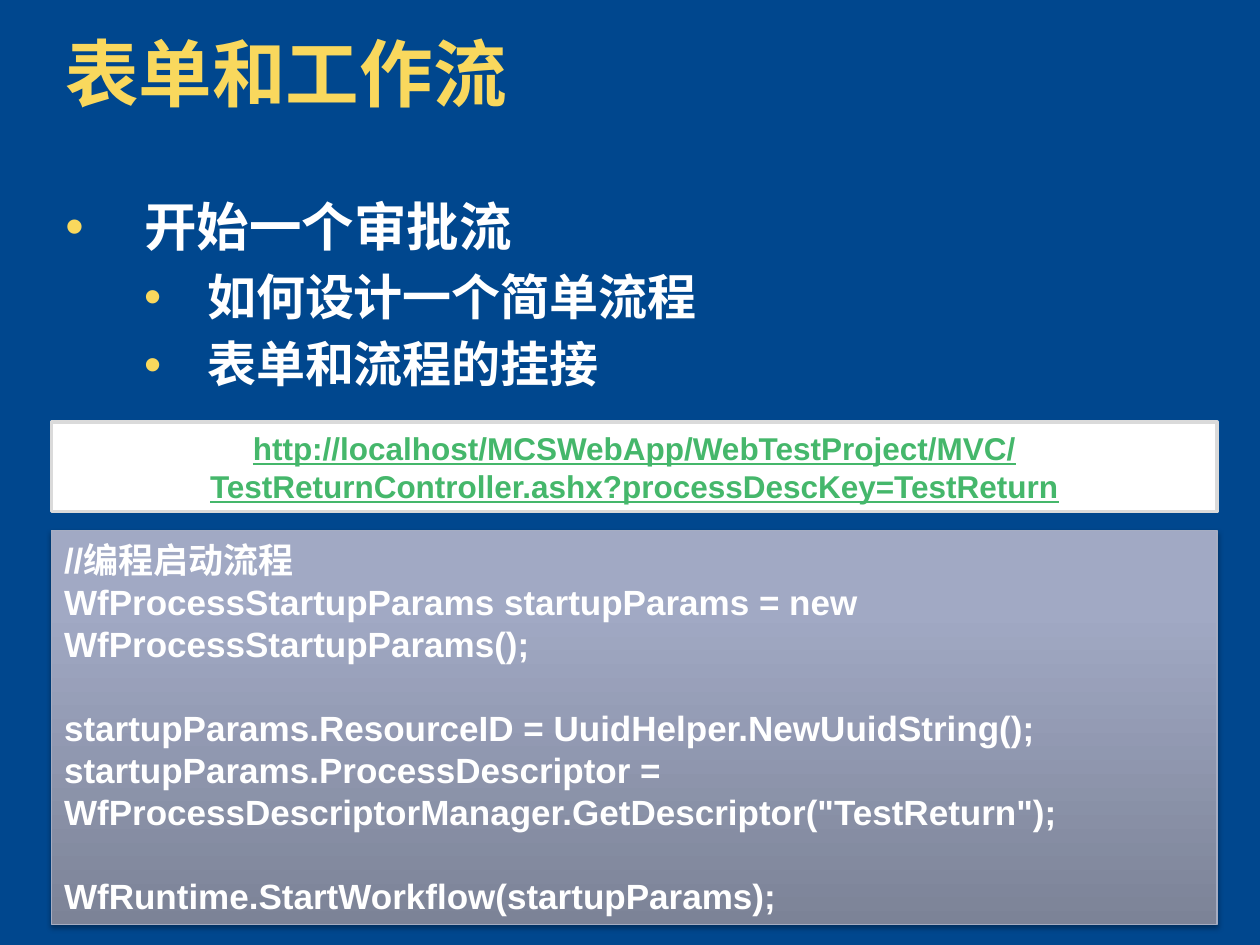
from dataclasses import dataclass
from typing import Any, Optional

from pptx import Presentation
from pptx.dml.color import RGBColor
from pptx.enum.shapes import MSO_SHAPE
from pptx.enum.text import MSO_ANCHOR, MSO_AUTO_SIZE, PP_ALIGN
from pptx.oxml import parse_xml
from pptx.oxml.ns import nsdecls, qn
from pptx.util import Pt

NAVY = RGBColor(0x00, 0x47, 0x8E)
YELLOW = RGBColor(0xF9, 0xD8, 0x5D)
WHITE = RGBColor(0xFF, 0xFF, 0xFF)
GREEN = RGBColor(0x45, 0xB7, 0x6B)
LIGHT_GRAY = RGBColor(0xDA, 0xDA, 0xDA)
PANEL_BORDER = RGBColor(0xA6, 0xAD, 0xC2)
BLACK = RGBColor(0x00, 0x00, 0x00)
PANEL_GRADIENT = (
    (0, RGBColor(0x7C, 0x83, 0x97)),
    (80, RGBColor(0xA1, 0xA9, 0xC4)),
    (100, RGBColor(0xA1, 0xAA, 0xC6)),
)


@dataclass(frozen=True)
class Line:
    text: str
    size: float
    color: RGBColor = WHITE
    level: int = 0
    space_before: float = 0
    line_spacing: float = 1.0
    alignment: PP_ALIGN = PP_ALIGN.LEFT
    underline: bool = False
    margin: float = 0
    hanging: float = 0


@dataclass(frozen=True)
class Panel:
    top: float
    height: float
    border: RGBColor
    border_width: float
    lines: tuple[Line, ...]
    fill: Optional[RGBColor] = None


TITLE = Line("表单和工作流", 42, YELLOW, line_spacing=0.9)
TOPICS = (
    Line("开始一个审批流", 30, space_before=9, line_spacing=0.9, margin=45, hanging=45),
    *(
        Line(text, 28, level=1, space_before=8.4, line_spacing=0.9, margin=81, hanging=36)
        for text in ("如何设计一个简单流程", "表单和流程的挂接")
    ),
)
ADDRESS = Line(
    "http://localhost/MCSWebApp/WebTestProject/MVC/"
    "TestReturnController.ashx?processDescKey=TestReturn",
    18, GREEN, alignment=PP_ALIGN.CENTER, underline=True,
)
CODE = (
    Line("//编程启动流程", 20),
    Line("WfProcessStartupParams startupParams = new WfProcessStartupParams();", 20),
    Line("startupParams.ResourceID = UuidHelper.NewUuidString();", 20, space_before=24),
    Line(
        "startupParams.ProcessDescriptor = "
        'WfProcessDescriptorManager.GetDescriptor("TestReturn");', 20,
    ),
    Line("WfRuntime.StartWorkflow(startupParams);", 20, space_before=24),
)
PANELS = (
    Panel(241.2, 51.1, LIGHT_GRAY, 2, (ADDRESS,), WHITE),
    Panel(303.1, 225.4, PANEL_BORDER, 0.75, CODE),
)


def apply_format(target: Any, values: dict[str, Any]) -> None:
    for name, value in values.items():
        setattr(target, name, value)


def add_bullet(properties: Any, line: Line) -> None:
    properties.set("marL", str(Pt(line.margin)))
    properties.set("indent", str(-Pt(line.hanging)))
    for content in (
        f'<a:buClr {nsdecls("a")}><a:srgbClr val="{YELLOW}"/></a:buClr>',
        f'<a:buFont {nsdecls("a")} typeface="Arial"/>',
        f'<a:buChar {nsdecls("a")} char="•"/>',
    ):
        properties.append(parse_xml(content))


def write_lines(shape: Any, lines: tuple[Line, ...], anchor: MSO_ANCHOR) -> None:
    frame = shape.text_frame
    apply_format(frame, {
        "word_wrap": True,
        "auto_size": MSO_AUTO_SIZE.NONE,
        "vertical_anchor": anchor,
    })
    for index, line in enumerate(lines):
        paragraph = frame.add_paragraph() if index else frame.paragraphs[0]
        apply_format(paragraph, {
            "level": line.level,
            "alignment": line.alignment,
            "line_spacing": line.line_spacing,
            "space_before": Pt(line.space_before),
        })
        if line.hanging:
            add_bullet(paragraph._p.get_or_add_pPr(), line)
        run = paragraph.add_run()
        run.text = line.text
        apply_format(run.font, {
            "name": "Arial",
            "size": Pt(line.size),
            "bold": True,
            "underline": line.underline,
        })
        run.font.color.rgb = line.color


def place(shape: Any, left: float, top: float, width: float, height: float) -> None:
    apply_format(shape, {
        "left": Pt(left), "top": Pt(top), "width": Pt(width), "height": Pt(height),
    })


def add_gradient_and_shadow(shape: Any) -> None:
    stops = "".join(
        f'<a:gs pos="{position * 1000}"><a:srgbClr val="{color}"/></a:gs>'
        for position, color in PANEL_GRADIENT
    )
    properties = shape._element.spPr
    properties.find(qn("a:prstGeom")).addnext(parse_xml(
        f'<a:gradFill {nsdecls("a")} rotWithShape="1"><a:gsLst>{stops}</a:gsLst>'
        '<a:lin ang="16200000" scaled="0"/></a:gradFill>'
    ))
    properties.find(qn("a:effectLst")).append(parse_xml(
        f'<a:outerShdw {nsdecls("a")} blurRad="{Pt(3.1)}" dist="{Pt(1.8)}" '
        f'dir="5400000" rotWithShape="0"><a:srgbClr val="{BLACK}">'
        '<a:alpha val="35000"/></a:srgbClr></a:outerShdw>'
    ))


def draw_panel(slide: Any, panel: Panel) -> None:
    shape = slide.shapes.add_shape(
        MSO_SHAPE.RECTANGLE, Pt(29.5), Pt(panel.top), Pt(666), Pt(panel.height)
    )
    shape.shadow.inherit = False
    shape.line.color.rgb = panel.border
    shape.line.width = Pt(panel.border_width)
    if panel.fill is None:
        add_gradient_and_shadow(shape)
    else:
        shape.fill.solid()
        shape.fill.fore_color.rgb = panel.fill
    write_lines(shape, panel.lines, MSO_ANCHOR.MIDDLE)


def main() -> None:
    presentation = Presentation()
    apply_format(presentation, {"slide_width": Pt(720), "slide_height": Pt(540)})
    slide = presentation.slides.add_slide(presentation.slide_layouts[1])
    slide.background.fill.solid()
    slide.background.fill.fore_color.rgb = NAVY

    title, body = slide.placeholders
    place(title, 30.2, 18, 591, 53.3)
    write_lines(title, (TITLE,), MSO_ANCHOR.TOP)
    place(body, 30.2, 111.6, 660, 121.7)
    write_lines(body, TOPICS, MSO_ANCHOR.TOP)

    for panel in PANELS:
        draw_panel(slide, panel)
    presentation.save("out.pptx")


if __name__ == "__main__":
    main()
